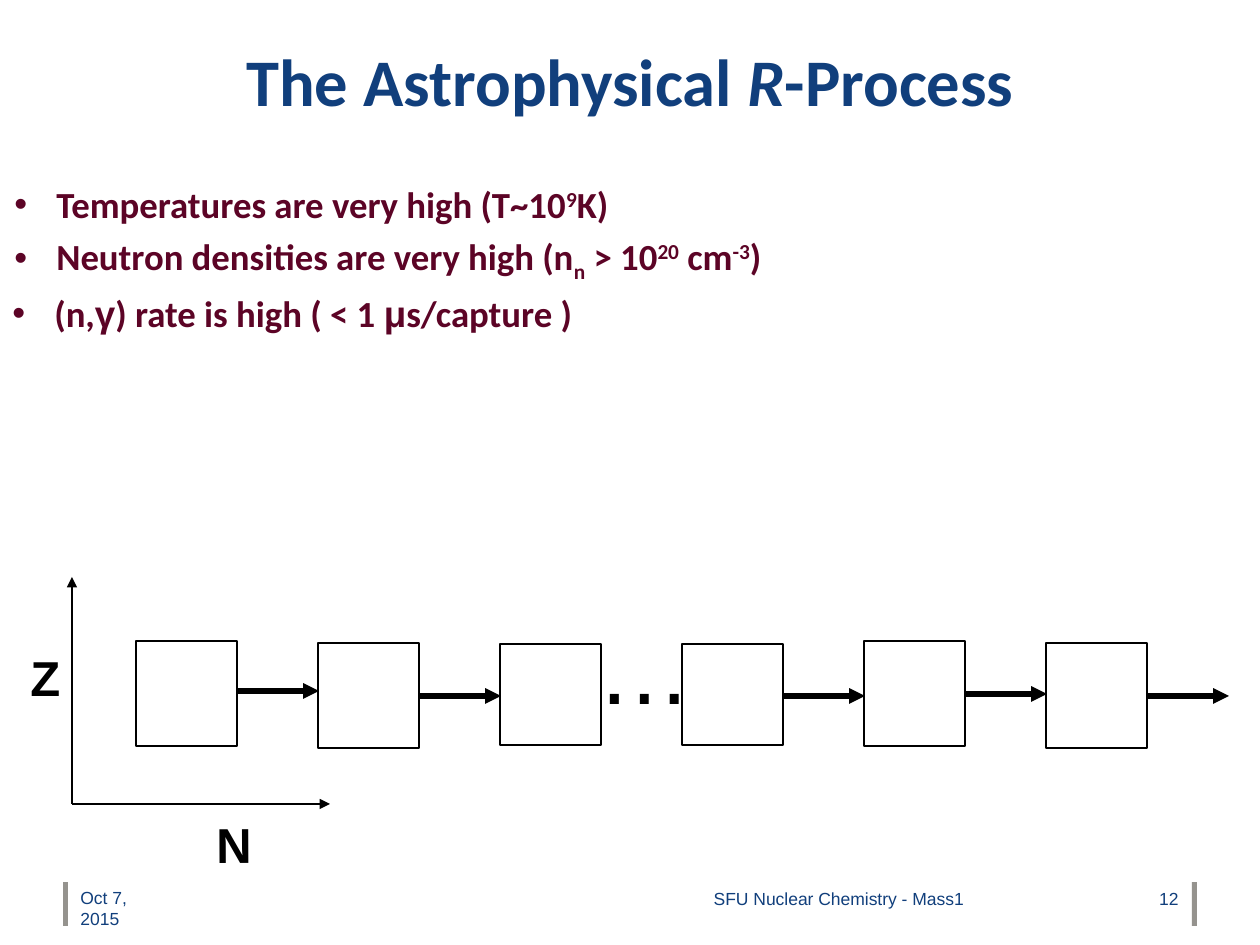
from lxml import etree
from pptx import Presentation
from pptx.dml.color import RGBColor
from pptx.enum.shapes import MSO_CONNECTOR, MSO_SHAPE
from pptx.enum.text import MSO_ANCHOR, PP_ALIGN
from pptx.oxml.ns import qn
from pptx.util import Emu, Pt

LINE, RECT = MSO_CONNECTOR.STRAIGHT, MSO_SHAPE.RECTANGLE
MID, TOP = MSO_ANCHOR.MIDDLE, MSO_ANCHOR.TOP
LEFT, MIDDLE, RIGHT = PP_ALIGN.LEFT, PP_ALIGN.CENTER, PP_ALIGN.RIGHT
SCALE = 914400 / 126
COLORS = {"blue": "113F7C", "wine": "5C0426", "ink": "000000", "bar": "95938E"}

# Each run is (text, format); formats: i = italic, A = Arial, number = baseline
TITLE = [("The Astrophysical ", ""), ("R", "i"), ("-Process", "")]
POINTS = [
    (44, [("Temperatures are very high (T~10", ""), ("9", 30), ("K)", "")]),
    (44, [("Neutron densities are very high (n", ""), ("n", -25), (" > 10", ""),
          ("20", 30), (" cm", ""), ("-3", 30), (")", "")]),
    (42, [("(n,", ""), ("γ", "A"), (") rate is high ( < 1 ", ""), ("μ", "A"),
          ("s/capture )", "")]),
]
# Each nuclide: top, height, height of its arrow (None for no arrow)
CELLS = [(641, 105, 691), (643, 105, 696), (644, 101, None),
         (644, 101, 696), (641, 105, 694), (643, 105, 696)]
FIRST, STEP, SIDE, REACH = 136, 182, 101, 81


def px(num):
    return Emu(round(num * SCALE))


def color(name):
    return RGBColor.from_string(COLORS[name])


def add_runs(para, runs, size, font, hue, bold=False):
    for text, form in runs:
        run = para.add_run()
        run.text = text
        run.font.name = "Arial" if form == "A" else font
        run.font.size = Pt(size)
        run.font.bold = bold
        run.font.italic = form == "i"
        run.font.color.rgb = color(hue)
        if isinstance(form, int):
            run.font._element.set("baseline", str(form * 1000))


def add_text(shapes, box, text="", size=10, hue="blue", bold=False, align=LEFT):
    shape = shapes.add_textbox(*map(px, box))
    frame = shape.text_frame
    frame.word_wrap = True
    frame.vertical_anchor = TOP
    para = frame.paragraphs[0]
    para.alignment = align
    if text:
        add_runs(para, [(text, "")], size, "Arial", hue, bold)
    return shape


def add_rect(shapes, box, fill=None):
    shape = shapes.add_shape(RECT, *map(px, box))
    shape.shadow.inherit = False
    if fill:
        shape.fill.solid()
        shape.fill.fore_color.rgb = color(fill)
        shape.line.fill.background()
    else:
        shape.fill.background()
        shape.line.color.rgb = color("ink")
        shape.line.width = Pt(1)


def add_arrow(shapes, start, end, width):
    arrow = shapes.add_connector(LINE, *map(px, start + end))
    arrow.line.color.rgb = color("ink")
    arrow.line.width = Pt(width)
    tail = etree.SubElement(arrow.line._get_or_add_ln(), qn("a:tailEnd"))
    tail.set("type", "triangle")
    etree.SubElement(arrow._element.spPr, qn("a:effectLst"))


def add_title(slide):
    title = slide.shapes.title
    title.left, title.top, title.width, title.height = map(px, (63, 52, 1134, 83))
    frame = title.text_frame
    frame.word_wrap = True
    frame.vertical_anchor = MID
    para = frame.paragraphs[0]
    para.alignment = MIDDLE
    para.line_spacing = Pt(30.4)
    add_runs(para, TITLE, 38, "Calibri", "blue", True)


def add_points(shapes):
    frame = add_text(shapes, (0, 176, 1197, 370)).text_frame
    for i, (indent, runs) in enumerate(POINTS):
        para = frame.add_paragraph() if i else frame.paragraphs[0]
        props = para._p.get_or_add_pPr()
        props.set("marL", str(px(indent)))
        props.set("indent", str(px(-42)))
        etree.SubElement(props, qn("a:buFont")).set("typeface", "Arial")
        etree.SubElement(props, qn("a:buChar")).set("char", "•")
        if i:
            para.space_before = Pt(4)
        add_runs(para, runs, 21, "Calibri", "wine", True)


def add_chain(shapes):
    for i, (top, height, level) in enumerate(CELLS):
        left = FIRST + STEP * i
        add_rect(shapes, (left, top, SIDE, height))
        if level:
            edge = left + SIDE + 1
            add_arrow(shapes, (edge, level), (edge + REACH, level), 3)
    add_text(shapes, (585, 604, 102, 126), "…", 54, "ink")


def add_axes(shapes):
    origin = (72, 804)
    add_arrow(shapes, origin, (72, 577), 0.75)
    add_arrow(shapes, origin, (330, 804), 0.75)
    add_text(shapes, (18, 641, 59, 72), "Z", 28, "ink", True)
    label = add_text(shapes, (204, 808, 55, 72), "N", 28, "ink", True)
    label.rotation = 359.8


def add_footer(shapes):
    for left in (63, 1192):
        add_rect(shapes, (left, 882, 5, 44), "bar")
    add_text(shapes, (68, 881, 110, 66), "Oct 7, 2015")
    add_text(shapes, (331, 882, 645, 66), "SFU Nuclear Chemistry - Mass1", align=RIGHT)
    add_text(shapes, (993, 882, 198, 66), "12", align=RIGHT)


def main():
    deck = Presentation()
    deck.slide_width, deck.slide_height = px(1260), px(945)
    slide = deck.slides.add_slide(deck.slide_layouts[5])
    add_footer(slide.shapes)
    add_title(slide)
    add_points(slide.shapes)
    # Neutron capture diagram
    group = slide.shapes.add_group_shape().shapes
    add_chain(group)
    add_axes(group)
    deck.save("out.pptx")


if __name__ == "__main__":
    main()
